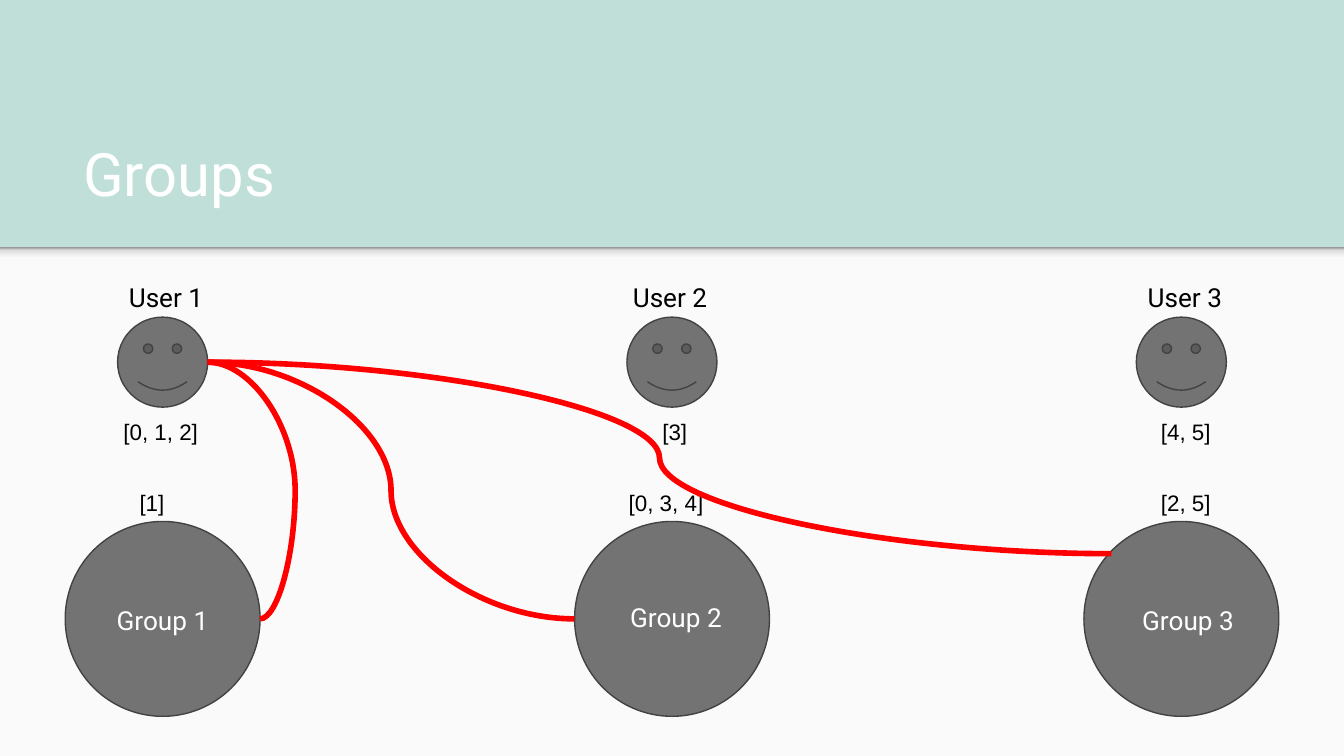
from dataclasses import dataclass
from typing import NamedTuple

from lxml.etree import SubElement
from pptx import Presentation
from pptx.dml.color import RGBColor
from pptx.enum.shapes import MSO_CONNECTOR as Connector, MSO_SHAPE as Preset
from pptx.enum.text import MSO_ANCHOR as Anchor
from pptx.oxml.ns import qn
from pptx.util import Inches, Pt


@dataclass(frozen=True)
class Theme:
    header: str = "C0DFD9"
    panel: str = "FAFAFA"
    shape: str = "737373"
    outline: str = "424242"
    link: str = "FF0000"
    dark: str = "000000"
    light: str = "FFFFFF"
    shade: tuple = ((0, "F9F9F9"), (36, "F9F9F9"), (80, "DEDEDE"), (100, "999999"))
    heading_font: str = "Roboto"
    list_font: str = "Arial"
    title_size: int = 32
    name_size: int = 14
    list_size: int = 12
    outline_width: float = 0.75
    link_width: float = 3


class Area(NamedTuple):
    left: float
    top: float
    width: float
    height: float

    def inches(self) -> list:
        return [Inches(value) for value in self]


class Style(NamedTuple):
    font: str
    size: int
    color: str
    anchor: Anchor


class Label(NamedTuple):
    """Text whose left edge is set off from the middle of its column."""
    text: str
    offset: float
    width: float
    top: float
    height: float
    style: Style


class Link(NamedTuple):
    end_x: float
    end_y: float
    bend: float


THEME = Theme()
WIDTH = 10
HEIGHT = WIDTH * 9 / 16
HEADER_BOTTOM = 1.84
COLUMN_START, COLUMN_STEP = 1.21, 3.79
FACE, FACE_TOP = 0.67, 2.36
GROUP, GROUP_TOP = 1.45, 3.88
INSET = 0.1

TITLE = Style(THEME.heading_font, THEME.title_size, THEME.light, Anchor.BOTTOM)
USER = Style(THEME.heading_font, THEME.name_size, THEME.dark, Anchor.BOTTOM)
MEMBER = USER._replace(color=THEME.light)
LIST = Style(THEME.list_font, THEME.list_size, THEME.dark, Anchor.TOP)

COLUMNS = (
    (Label("[0, 1, 2]", -0.39, 2.42, 3.01, 0.34, LIST),
     Label("[1]", -0.27, 0.87, 3.54, 0.34, LIST),
     Label("User 1", -0.35, 1.45, 1.59, 0.84, USER),
     Label("Group 1", -0.44, 0.94, 4.39, 0.44, MEMBER)),
    (Label("[3]", -0.17, 2.42, 3.01, 0.34, LIST),
     Label("[0, 3, 4]", -0.42, 0.87, 3.54, 0.34, LIST),
     Label("User 2", -0.39, 1.45, 1.59, 0.84, USER),
     Label("Group 2", -0.41, 1.45, 3.97, 0.84, MEMBER)),
    (Label("[4, 5]", -0.25, 0.67, 3.01, 0.34, LIST),
     Label("[2, 5]", -0.25, 0.87, 3.54, 0.34, LIST),
     Label("User 3", -0.35, 1.45, 1.59, 0.84, USER),
     Label("Group 3", -0.39, 1.45, 3.99, 0.84, MEMBER)),
)


def column_middle(index: int) -> float:
    return COLUMN_START + index * COLUMN_STEP


def add_shape(page, preset: Preset, area: Area, fill: str, outline: str = ""):
    shape = page.shapes.add_shape(preset, *area.inches())
    shape.shadow.inherit = False
    shape.fill.solid()
    shape.fill.fore_color.rgb = RGBColor.from_string(fill)
    if outline:
        shape.line.color.rgb = RGBColor.from_string(outline)
        shape.line.width = Pt(THEME.outline_width)
    else:
        shape.line.fill.background()
    return shape


def shade_upwards(shape, stops: tuple) -> None:
    shape.fill.gradient()
    shape.fill.gradient_angle = 90
    stop_list = shape._element.spPr.find(qn("a:gradFill")).find(qn("a:gsLst"))
    for stop in list(stop_list):
        stop_list.remove(stop)
    for percent, color in stops:
        stop = SubElement(stop_list, qn("a:gs"), pos=str(percent * 1000))
        SubElement(stop, qn("a:srgbClr"), val=color)


def add_text(page, text: str, area: Area, style: Style) -> None:
    box = page.shapes.add_textbox(*area.inches())
    frame = box.text_frame
    margins = {f"margin_{side}": Inches(INSET)
               for side in ("left", "top", "right", "bottom")}
    for name, value in {"word_wrap": True, "vertical_anchor": style.anchor,
                        **margins}.items():
        setattr(frame, name, value)
    span = frame.paragraphs[0].add_run()
    span.text = text
    for name, value in {"name": style.font, "size": Pt(style.size)}.items():
        setattr(span.font, name, value)
    span.font.color.rgb = RGBColor.from_string(style.color)


def add_link(page, start_x: float, start_y: float, link: Link) -> None:
    """Draw a curve whose middle lies at the given share of its width."""
    ends = [Inches(v) for v in (start_x, start_y, link.end_x, link.end_y)]
    curve = page.shapes.add_connector(Connector.CURVE, *ends)
    curve.line.color.rgb = RGBColor.from_string(THEME.link)
    curve.line.width = Pt(THEME.link_width)
    properties = curve._element.spPr
    SubElement(properties, qn("a:effectLst"))
    guides = properties.find(qn("a:prstGeom")).get_or_add_avLst()
    SubElement(guides, qn("a:gd"), name="adj1",
               fmla=f"val {round(link.bend * 100000)}")


def main() -> None:
    deck = Presentation()
    deck.slide_width, deck.slide_height = Inches(WIDTH), Inches(HEIGHT)
    page = deck.slides.add_slide(deck.slide_layouts[6])
    page.background.fill.solid()
    page.background.fill.fore_color.rgb = RGBColor.from_string(THEME.header)

    panel = Area(0, HEADER_BOTTOM, WIDTH, HEIGHT - HEADER_BOTTOM)
    add_shape(page, Preset.RECTANGLE, panel, THEME.panel)
    edge = add_shape(page, Preset.RECTANGLE, panel._replace(height=0.12), THEME.panel)
    shade_upwards(edge, THEME.shade)
    add_text(page, "Groups", Area(0.52, 0.81, 8.99, 0.84), TITLE)

    for index, labels in enumerate(COLUMNS):
        middle = column_middle(index)
        for preset, size, top in ((Preset.SMILEY_FACE, FACE, FACE_TOP),
                                  (Preset.OVAL, GROUP, GROUP_TOP)):
            area = Area(middle - size / 2, top, size, size)
            add_shape(page, preset, area, THEME.shape, THEME.outline)
        for label in labels:
            area = Area(middle + label.offset, label.top, label.width, label.height)
            add_text(page, label.text, area, label.style)

    radius = GROUP / 2
    center_y = GROUP_TOP + radius
    links = (
        Link(column_middle(1) - radius, center_y, 0.5),
        Link(column_middle(0) + radius, center_y, 1.67),
        Link(8.27, 4.12, 0.5),
    )
    for link in links:
        add_link(page, column_middle(0) + FACE / 2, FACE_TOP + FACE / 2, link)
    deck.save("out.pptx")


if __name__ == "__main__":
    main()
